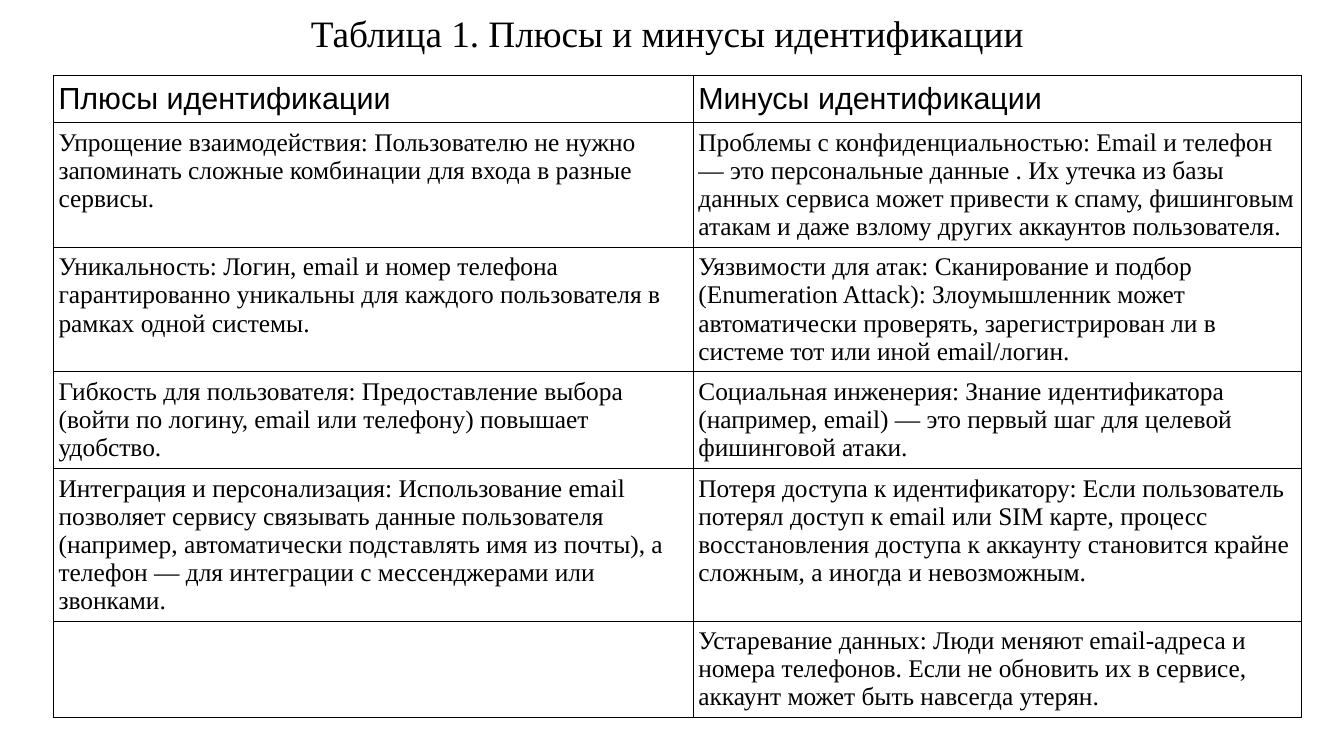
from typing import NamedTuple

from lxml.etree import SubElement
from pptx import Presentation
from pptx.dml.color import RGBColor
from pptx.enum.text import MSO_ANCHOR, MSO_AUTO_SIZE, PP_ALIGN
from pptx.oxml.ns import qn
from pptx.util import Cm, Pt


class ProsCons(NamedTuple):
    height: float
    plus: str
    minus: str


BLACK = "000000"
TITLE_FONT = {"name": "Times New Roman", "size": Pt(22)}
HEAD_FONT = {"name": "Arial", "size": Pt(18)}
BODY_FONT = {"name": "Times New Roman", "size": Pt(15)}
TITLE_FRAME = {
    "margin_left": 0, "margin_right": 0, "margin_top": 0, "margin_bottom": 0,
    "vertical_anchor": MSO_ANCHOR.MIDDLE, "auto_size": MSO_AUTO_SIZE.NONE,
    "word_wrap": True,
}
CELL_FORMAT = {
    "margin_left": Cm(0.1), "margin_right": Cm(0.1),
    "margin_top": Cm(0.13), "margin_bottom": Cm(0.13),
    "vertical_anchor": MSO_ANCHOR.TOP,
}
COLUMN_WIDTHS = (13.33, 12.67)
ROWS = (
    ProsCons(0.97, "Плюсы идентификации", "Минусы идентификации"),
    ProsCons(
        2.59,
        "Упрощение взаимодействия: Пользователю не нужно запоминать сложные "
        "комбинации для входа в разные сервисы.",
        "Проблемы с конфиденциальностью: Email и телефон — это персональные "
        "данные . Их утечка из базы данных сервиса может привести к спаму, "
        "фишинговым атакам и даже взлому других аккаунтов пользователя."),
    ProsCons(
        2.59,
        "Уникальность: Логин, email и номер телефона гарантированно уникальны "
        "для каждого пользователя в рамках одной системы.",
        "Уязвимости для атак: Сканирование и подбор (Enumeration Attack): "
        "Злоумышленник может автоматически проверять, зарегистрирован ли в "
        "системе тот или иной email/логин."),
    ProsCons(
        2.01,
        "Гибкость для пользователя: Предоставление выбора (войти по логину, "
        "email или телефону) повышает удобство.",
        "Социальная инженерия: Знание идентификатора (например, email) — это "
        "первый шаг для целевой фишинговой атаки."),
    ProsCons(
        3.17,
        "Интеграция и персонализация: Использование email позволяет сервису "
        "связывать данные пользователя (например, автоматически подставлять "
        "имя из почты), а телефон — для интеграции с мессенджерами или "
        "звонками.",
        "Потеря доступа к идентификатору: Если пользователь потерял доступ к "
        "email или SIM карте, процесс восстановления доступа к аккаунту "
        "становится крайне сложным, а иногда и невозможным."),
    ProsCons(
        2.01,
        "",
        "Устаревание данных: Люди меняют email-адреса и номера телефонов. "
        "Если не обновить их в сервисе, аккаунт может быть навсегда утерян."),
)


def set_format(target: object, values: dict) -> None:
    for name, value in values.items():
        setattr(target, name, value)


def set_color(color_format, hex_color: str) -> None:
    color_format.rgb = RGBColor.from_string(hex_color)


def write(tf, text: str, font: dict, align: PP_ALIGN) -> None:
    p = tf.paragraphs[0]
    p.alignment = align
    if text:
        r = p.add_run()
        r.text = text
        set_format(r.font, font)
        set_color(r.font.color, BLACK)


def add_borders(cell, hex_color: str, width: Pt) -> None:
    tc_pr = cell._tc.get_or_add_tcPr()
    for side in ("a:lnL", "a:lnR", "a:lnT", "a:lnB"):
        ln = SubElement(tc_pr, qn(side), w=str(int(width)))
        fill = SubElement(ln, qn("a:solidFill"))
        SubElement(fill, qn("a:srgbClr"), val=hex_color)


def add_title(s, text: str) -> None:
    title = s.shapes.title
    set_format(title, {"left": Cm(1.3), "top": Cm(-0.64),
                       "width": Cm(25.2), "height": Cm(2.62)})
    set_format(title.text_frame, TITLE_FRAME)
    write(title.text_frame, text, TITLE_FONT, PP_ALIGN.CENTER)


def add_pros_cons_table(s) -> None:
    frame = s.shapes.add_table(
        len(ROWS), len(COLUMN_WIDTHS), Cm(1.12), Cm(1.58),
        Cm(sum(COLUMN_WIDTHS)), Cm(sum(row.height for row in ROWS)))
    table = frame.table
    set_format(table, {"first_row": False, "horz_banding": False})
    for column, width in zip(table.columns, COLUMN_WIDTHS):
        column.width = Cm(width)
    for i, row in enumerate(ROWS):
        table.rows[i].height = Cm(row.height)
        font = BODY_FONT if i else HEAD_FONT
        for cell, text in zip(table.rows[i].cells, (row.plus, row.minus)):
            set_format(cell, CELL_FORMAT)
            add_borders(cell, BLACK, Pt(0.75))
            cell.fill.background()
            write(cell.text_frame, text, font, PP_ALIGN.LEFT)


def main() -> None:
    prs = Presentation()
    set_format(prs, {"slide_width": Cm(28), "slide_height": Cm(15.75)})
    s = prs.slides.add_slide(prs.slide_layouts.get_by_name("Title Only"))
    add_title(s, "Таблица 1. Плюсы и минусы идентификации")
    add_pros_cons_table(s)
    prs.save("out.pptx")


if __name__ == "__main__":
    main()
